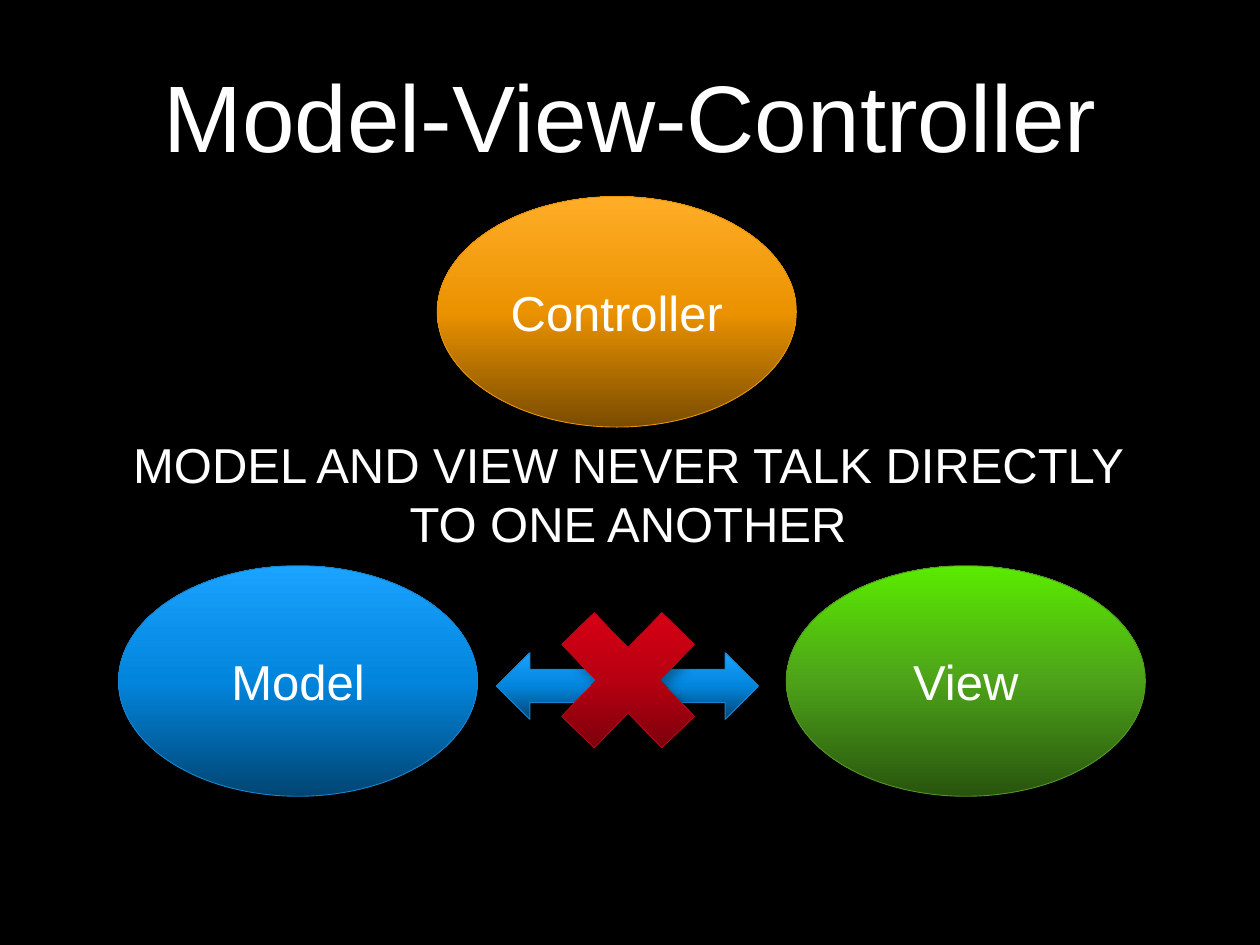
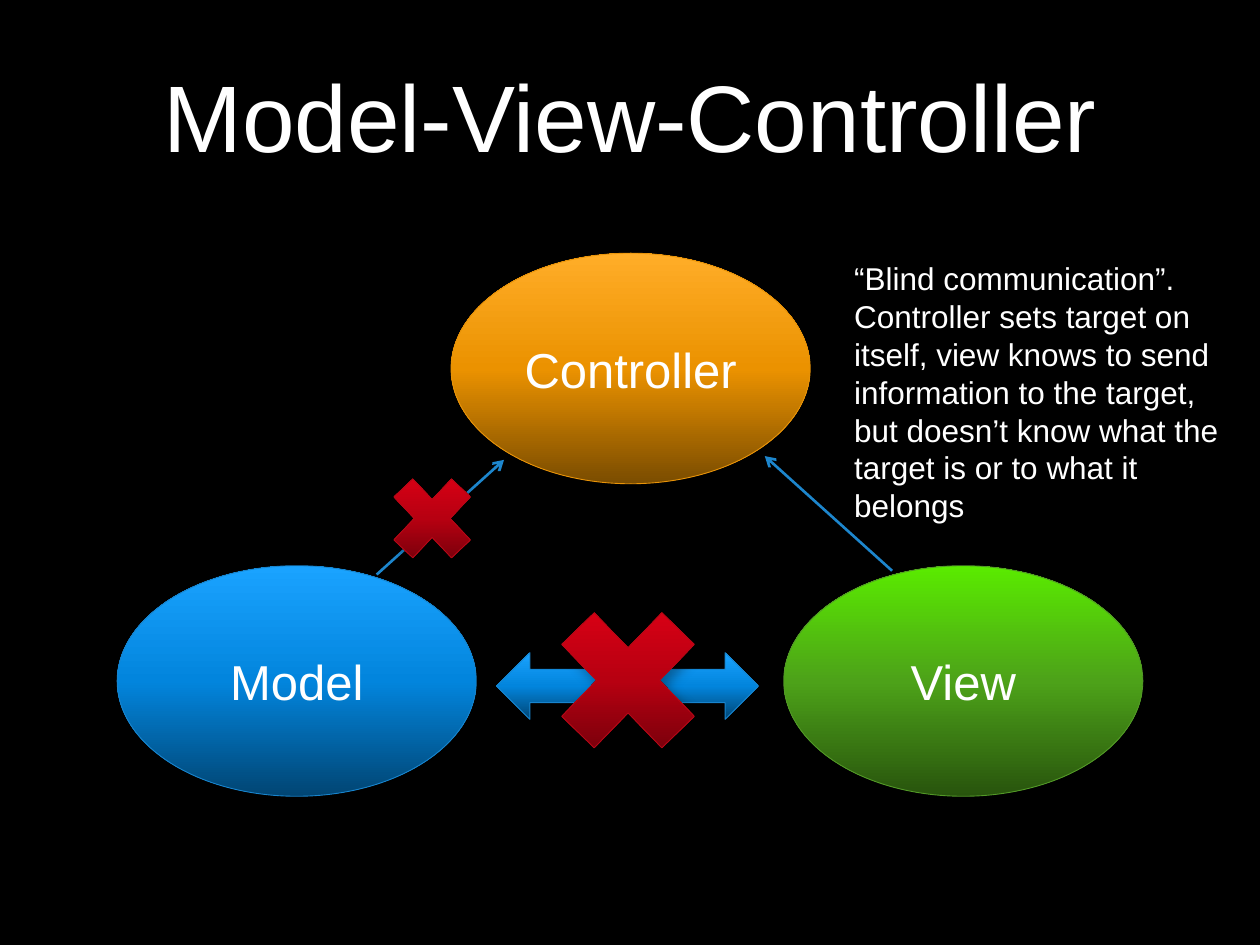
from copy import deepcopy
from dataclasses import dataclass

from lxml import etree
from pptx import Presentation
from pptx import util as u
from pptx.dml.color import RGBColor
from pptx.enum import shapes, text
from pptx.oxml import ns

KINDS = shapes.MSO_SHAPE
CENTER = text.PP_ALIGN.CENTER


@dataclass(frozen=True)
class Tone:
    """A vertical gradient from dark (bottom) to bright (top), with an outline."""
    dark: str
    middle: str
    bright: str
    outline: str


class Theme:
    font = "Arial"
    background = "000000"
    ink = "FFFFFF"
    link = "1D86CD"
    blue = Tone("014573", "0285DD", "1AA3FF", "1884CD")
    green = Tone("28540D", "4DA219", "5AEB00", "529827")
    orange = Tone("7A4C00", "EB9200", "FFAD28", "E89308")
    red = Tone("5F0009", "B70011", "E60016", "B50717")
    title_size, label_size, note_size = 54, 28, 18
    outline_width, link_width = 0.5, 1.5


class Deck:
    oval_size = (2.85, 1.83)

    def __init__(self, theme):
        self.theme = theme
        self.presentation = Presentation()
        self.presentation.slide_width = u.Inches(10)
        self.presentation.slide_height = u.Inches(7.5)
        self.slide = None

    def new_slide(self, title):
        self.slide = self.presentation.slides.add_slide(self.presentation.slide_layouts[6])
        backdrop = self.slide.background.fill
        backdrop.solid()
        backdrop.fore_color.rgb = RGBColor.from_string(self.theme.background)
        self.words(title, (0.75, 0.34, 8.5, 1.07), self.theme.title_size,
                   CENTER, text.MSO_ANCHOR.BOTTOM)

    def set_text(self, frame, content, size, align, anchor):
        frame.word_wrap = True
        frame.vertical_anchor = anchor
        paragraph = frame.paragraphs[0]
        paragraph.text = content
        paragraph.alignment = align
        paragraph.font.name = self.theme.font
        paragraph.font.size = u.Pt(size)
        paragraph.font.color.rgb = RGBColor.from_string(self.theme.ink)

    def words(self, content, box, size, align=text.PP_ALIGN.LEFT,
              anchor=text.MSO_ANCHOR.TOP):
        holder = self.slide.shapes.add_textbox(*map(u.Inches, box))
        self.set_text(holder.text_frame, content, size, align, anchor)

    def solid(self, kind, box, tone):
        """Add a preset shape with a three-stop gradient and a soft shadow."""
        body = self.slide.shapes.add_shape(kind, *map(u.Inches, box))
        body.fill.gradient()
        body.fill.gradient_angle = 90
        stop_list = body._element.spPr.find(".//" + ns.qn("a:gsLst"))
        stop_list.insert(1, deepcopy(stop_list[0]))
        colours = (tone.dark, tone.middle, tone.bright)
        for stop, colour, place in zip(body.fill.gradient_stops, colours, (0, 0.5, 1)):
            stop.color.rgb = RGBColor.from_string(colour)
            stop.position = place
        body.line.color.rgb = RGBColor.from_string(tone.outline)
        body.line.width = u.Pt(self.theme.outline_width)
        self.cast_shadow(body)
        return body

    def cast_shadow(self, body):
        body.shadow.inherit = False
        effects = body._element.spPr.find(ns.qn("a:effectLst"))
        shadow = etree.SubElement(effects, ns.qn("a:outerShdw"), blurRad=str(u.Pt(7)),
                                  dist=str(u.Pt(4)), dir="3300000", rotWithShape="0")
        colour = etree.SubElement(shadow, ns.qn("a:srgbClr"), val="000000")
        etree.SubElement(colour, ns.qn("a:alpha"), val="35000")

    def oval(self, label, left, top, tone):
        body = self.solid(KINDS.OVAL, (left, top, *self.oval_size), tone)
        self.set_text(body.text_frame, label, self.theme.label_size,
                      CENTER, text.MSO_ANCHOR.MIDDLE)

    def cross(self, box):
        self.solid(KINDS.MATH_MULTIPLY, box, self.theme.red)

    def link(self, start, end):
        """Draw a line with an open arrowhead at its end."""
        line = self.slide.shapes.add_connector(
            shapes.MSO_CONNECTOR.STRAIGHT, *map(u.Inches, (*start, *end)))
        line.line.color.rgb = RGBColor.from_string(self.theme.link)
        line.line.width = u.Pt(self.theme.link_width)
        outline = line._element.spPr.find(ns.qn("a:ln"))
        etree.SubElement(outline, ns.qn("a:tailEnd"), type="arrow")
        etree.SubElement(line._element.spPr, ns.qn("a:effectLst"))

    def roles(self, model_left, view_left, controller_at):
        """Place the three parts of the pattern."""
        self.oval("Model", model_left, 4.49, self.theme.blue)
        self.oval("View", view_left, 4.49, self.theme.green)
        self.oval("Controller", *controller_at, self.theme.orange)

    def blocked_exchange(self):
        """Place the crossed-out arrow between model and view."""
        self.solid(KINDS.LEFT_RIGHT_ARROW, (3.94, 5.18, 2.08, 0.53), self.theme.blue)
        self.cross((4.22, 4.61, 1.53, 1.58))


def main():
    deck = Deck(Theme())
    title = "Model-View-Controller"

    # Model and view are kept apart
    deck.new_slide(title)
    deck.roles(0.94, 6.24, (3.47, 1.56))
    deck.blocked_exchange()
    deck.words("MODEL AND VIEW NEVER TALK DIRECTLY TO ONE ANOTHER",
               (0.72, 3.4, 8.53, 1.04), deck.theme.label_size, CENTER)

    # Only the view reaches the controller, blindly
    deck.new_slide(title)
    deck.roles(0.93, 6.22, (3.58, 2.01))
    deck.link((7.08, 4.53), (6.07, 3.62))
    deck.blocked_exchange()
    deck.link((2.99, 4.56), (4, 3.65))
    deck.cross((2.99, 3.65, 0.88, 0.93))
    deck.words("“Blind communication”. Controller sets target on itself, view knows "
               "to send information to the target, but doesn’t know what the target "
               "is or to what it belongs",
               (6.68, 2.01, 3.15, 2.22), deck.theme.note_size)

    deck.presentation.save("out.pptx")


if __name__ == "__main__":
    main()
